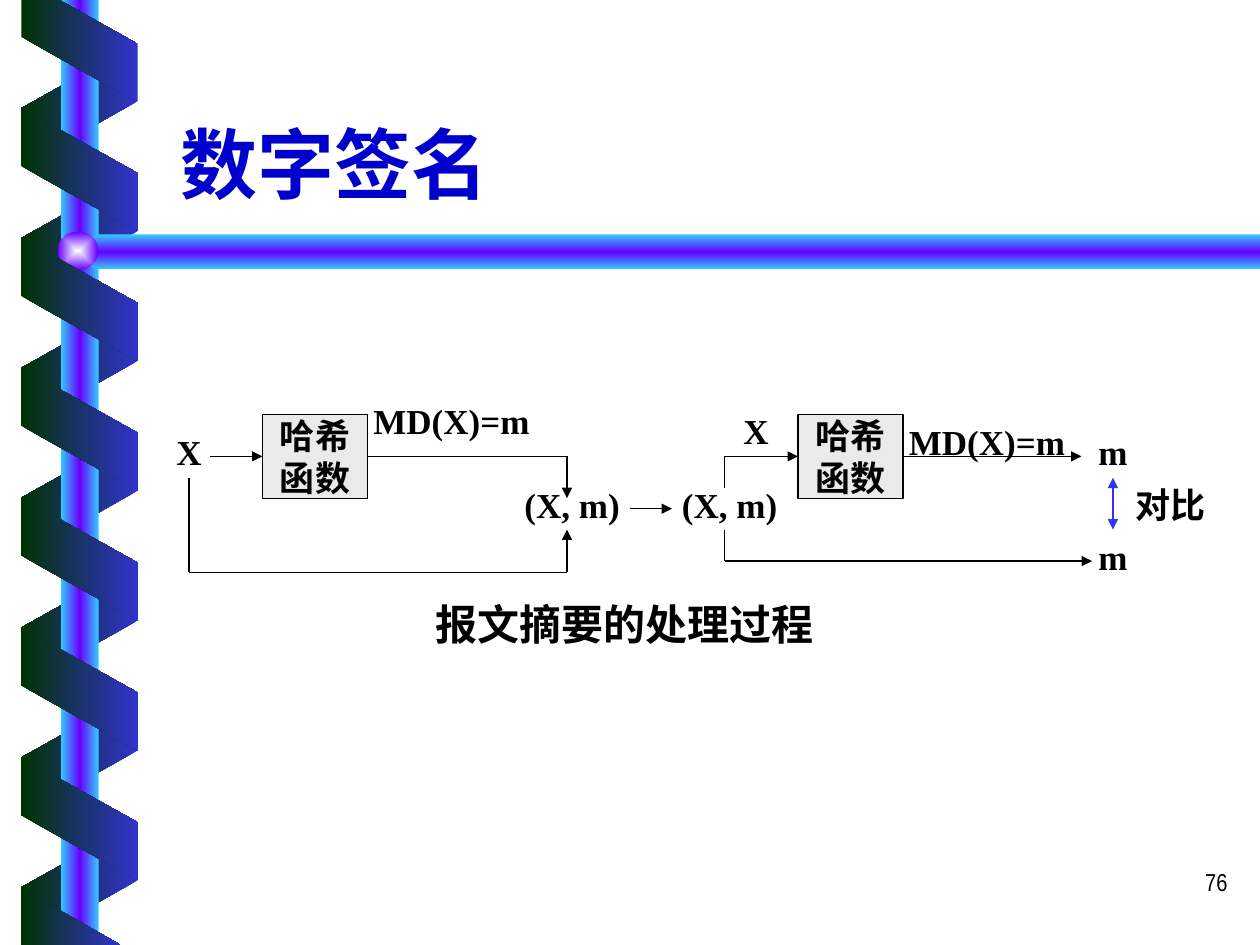
"""Slide on digital signatures: how a message digest is made and checked."""
from dataclasses import dataclass

from lxml import etree
from pptx import Presentation
from pptx import util as u
from pptx.dml.color import RGBColor
from pptx.enum import shapes, text
from pptx.oxml import parse_xml
from pptx.oxml.ns import nsdecls, qn

KIND = shapes.MSO_SHAPE
ALIGN = text.PP_ALIGN
ANCHOR = text.MSO_ANCHOR


@dataclass(frozen=True)
class Theme:
    ink: str = "000000"
    head: str = "0000CC"
    box: str = "EAEAEA"
    mark: str = "3333FF"
    dark: str = "003300"
    blue: str = "3333CC"
    sky: str = "33CCFF"
    violet: str = "6600FF"
    glow: str = "FEFFFF"
    serif: str = "Times New Roman"
    sans: str = "Noto Sans CJK SC"
    narrow: str = "Arial Narrow"
    title: int = 44
    note: int = 24
    body: int = 20
    page: int = 14
    rule: float = 0.75


class Deck:
    def __init__(self, theme, slide):
        self.theme = theme
        self.shapes = slide.shapes

    def blend(self, shape, colors, angle=0, radial=False):
        last = len(colors) - 1
        stops = "".join(
            f'<a:gs pos="{100000 * i // last}"><a:srgbClr val="{c}"/></a:gs>'
            for i, c in enumerate(colors))
        if radial:
            flow = ('<a:path path="rect"><a:fillToRect l="50000" t="50000" '
                    'r="50000" b="50000"/></a:path>')
        else:
            flow = f'<a:lin ang="{angle * 60000}" scaled="1"/>'
        fill = parse_xml(
            f'<a:gradFill {nsdecls("a")} rotWithShape="0">'
            f'<a:gsLst>{stops}</a:gsLst>{flow}</a:gradFill>')
        shape.shadow.inherit = False
        shape.line.fill.background()
        props = shape._element.spPr
        props.insert(list(props).index(props.find(qn("a:ln"))), fill)

    def shape(self, kind, x, y, w, h):
        return self.shapes.add_shape(kind, u.Pt(x), u.Pt(y), u.Pt(w), u.Pt(h))

    def solid(self, kind, place, colors, **flow):
        self.blend(self.shape(kind, *place), colors, **flow)

    def ribbon(self, y, turn, colors, flip=False):
        band = self.shape(KIND.PARALLELOGRAM, 10.1, y, 70.5, 66.7)
        band.adjustments[0] = 0.56
        band.rotation = turn
        if flip:
            band._element.spPr.find(qn("a:xfrm")).set("flipH", "1")
        self.blend(band, colors)

    def free(self, points, colors, angle=0):
        start, *rest = [(u.Pt(x), u.Pt(y)) for x, y in points]
        form = self.shapes.build_freeform(*start)
        form.add_line_segments(rest)
        self.blend(form.convert_to_shape(), colors, angle)

    def words(self, frame, lines, size, face, color, align, bold):
        for i, line in enumerate(lines):
            para = frame.paragraphs[0] if i == 0 else frame.add_paragraph()
            para.text = line
            para.alignment = align
            font = para.font
            font.size = u.Pt(size)
            font.bold = bold
            font.name = face
            font.color.rgb = RGBColor.from_string(color)
            east = etree.SubElement(para._p.pPr.find(qn("a:defRPr")), qn("a:ea"))
            east.set("typeface", self.theme.sans)

    def label(self, line, x, y, w, h=31.5, size=None, face=None, color=None,
              align=ALIGN.CENTER, bold=True, anchor=ANCHOR.TOP):
        look = self.theme
        frame = self.shapes.add_textbox(
            u.Pt(x), u.Pt(y), u.Pt(w), u.Pt(h)).text_frame
        frame.word_wrap = True
        frame.vertical_anchor = anchor
        self.words(frame, [line], size or look.body, face or look.serif,
                   color or look.ink, align, bold)

    def box(self, lines, x, y):
        look = self.theme
        rect = self.shape(KIND.RECTANGLE, x, y, 60, 48)
        rect.shadow.inherit = False
        rect.fill.solid()
        rect.fill.fore_color.rgb = RGBColor.from_string(look.box)
        rect.line.color.rgb = RGBColor.from_string(look.ink)
        rect.line.width = u.Pt(look.rule)
        frame = rect.text_frame
        frame.word_wrap = False
        frame.vertical_anchor = ANCHOR.MIDDLE
        self.words(frame, lines, look.body, look.serif, look.ink,
                   ALIGN.CENTER, True)
        return rect

    def line(self, start, end, tips=(), color=None, source=None, target=None):
        wire = self.shapes.add_connector(
            shapes.MSO_CONNECTOR.STRAIGHT, *map(u.Pt, start + end))
        wire.line.color.rgb = RGBColor.from_string(color or self.theme.ink)
        wire.line.width = u.Pt(self.theme.rule)
        for tip in tips:
            etree.SubElement(wire.get_or_add_ln(), qn(f"a:{tip}")).set(
                "type", "triangle")
        etree.SubElement(wire._element.spPr, qn("a:effectLst"))
        if source:
            wire.begin_connect(source, 3)
        if target:
            wire.end_connect(target, 1)


def spiral(deck):
    look = deck.theme
    fade = [look.dark, look.blue]
    tube = [look.sky, look.violet, look.sky]
    step = 74.2
    for i in range(7):
        deck.ribbon(26.5 + i * step, 90, fade[::-1], flip=True)
    deck.solid(KIND.RECTANGLE, (34.8, 0, 21.6, 540), tube)
    deck.free([(720, 134), (55, 134), (43, 144), (55, 154), (720, 154)],
              tube, angle=90)
    deck.solid(KIND.OVAL, (33, 132.5, 23, 21.6), [look.glow, look.violet],
               radial=True)
    for i in range(6):
        deck.ribbon(63.5 + i * step, 270, fade)
    deck.free([(12.2, 0), (12.2, 21), (78.6, 58.3), (78.6, 25), (34, 0)], fade)
    deck.free([(69, 540), (12.2, 507.6), (12.2, 540)], fade)


def flow(deck):
    look = deck.theme
    tip = ["tailEnd"]
    mid = 260.8
    hashes = [deck.box(["哈希", "函数"], x, mid - 24) for x in (150, 456)]
    deck.line((120, mid), (150, mid), tip, target=hashes[0])
    deck.line((210, mid), (324, mid), source=hashes[0])
    deck.line((414, mid), (456, mid), tip, target=hashes[1])
    deck.line((516, mid), (618, mid), tip, source=hashes[1])
    for start, end, tips in [
            ((108, 273), (108, 327), ()),
            ((108, 327), (324, 327), ()),
            ((324, 327), (324, 302.6), tip),
            ((324, mid), (324, 284.6), tip),
            ((360, 290.7), (384, 290.7), tip),
            ((414, 278.6), (414, mid), ()),
            ((414, 302.6), (414, 320.6), ()),
            ((414, 320.6), (624, 320.6), tip)]:
        deck.line(start, end, tips)
    deck.line((636, 273), (636, 302.6), ["headEnd", "tailEnd"], look.mark)
    for line, x, y, w in [
            ("X", 90, 242.6, 36), ("MD(X)=m", 198, 224.6, 120),
            ("(X, m)", 288, 272.7, 78), ("(X, m)", 378, 272.7, 78),
            ("X", 414, 230.6, 36), ("MD(X)=m", 504, 236.6, 120),
            ("m", 618, 242.6, 36), ("m", 618, 302.6, 36)]:
        deck.label(line, x, y, w)
    deck.label("对比", 642, 272.7, 60, align=ALIGN.LEFT)
    deck.label("报文摘要的处理过程", 222, 338.6, 270, 36, size=look.note)


def main():
    look = Theme()
    show = Presentation()
    show.slide_width, show.slide_height = u.Pt(720), u.Pt(540)
    deck = Deck(look, show.slides.add_slide(show.slide_layouts[6]))
    spiral(deck)
    deck.label("76", 558.5, 492, 150, 36, size=look.page, face=look.narrow,
               align=ALIGN.RIGHT, bold=False)
    deck.label("数字签名", 96, 33, 612, 90, size=look.title, face=look.sans,
               color=look.head, align=ALIGN.LEFT, anchor=ANCHOR.BOTTOM)
    flow(deck)
    show.save("out.pptx")


if __name__ == "__main__":
    main()
